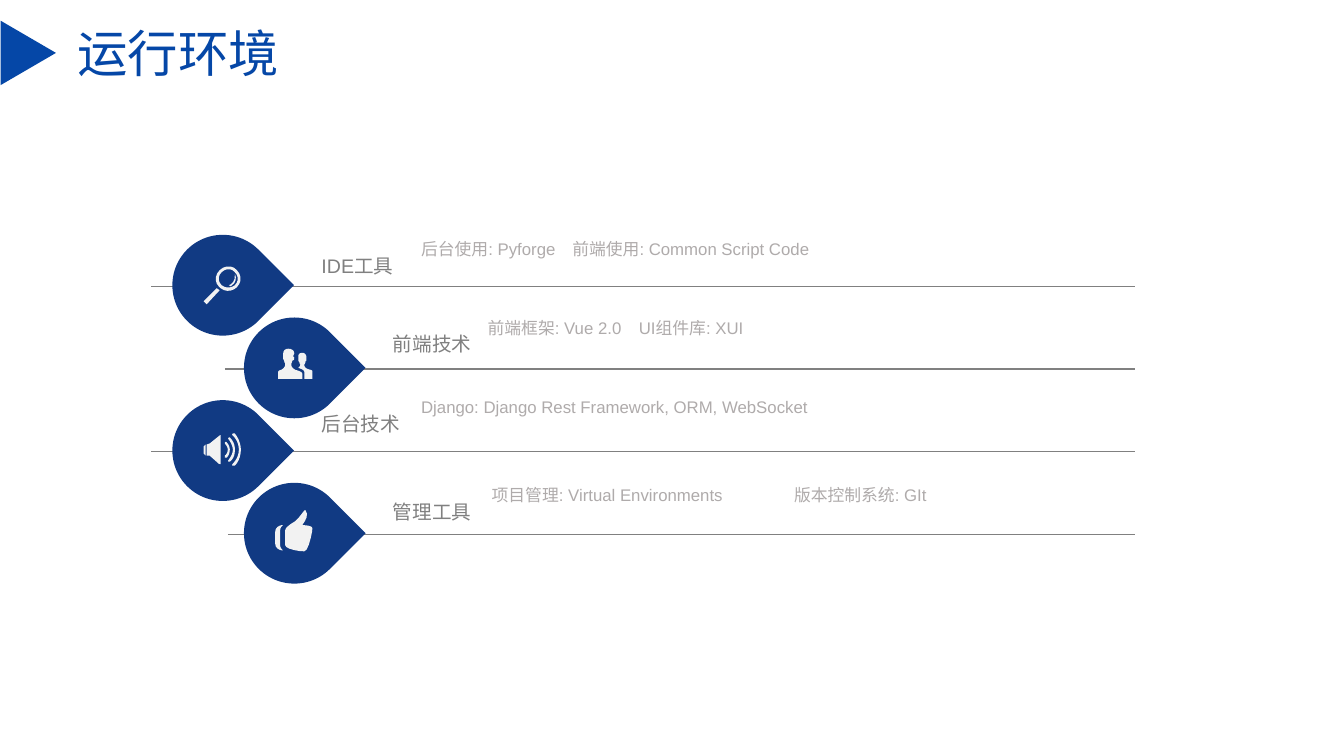
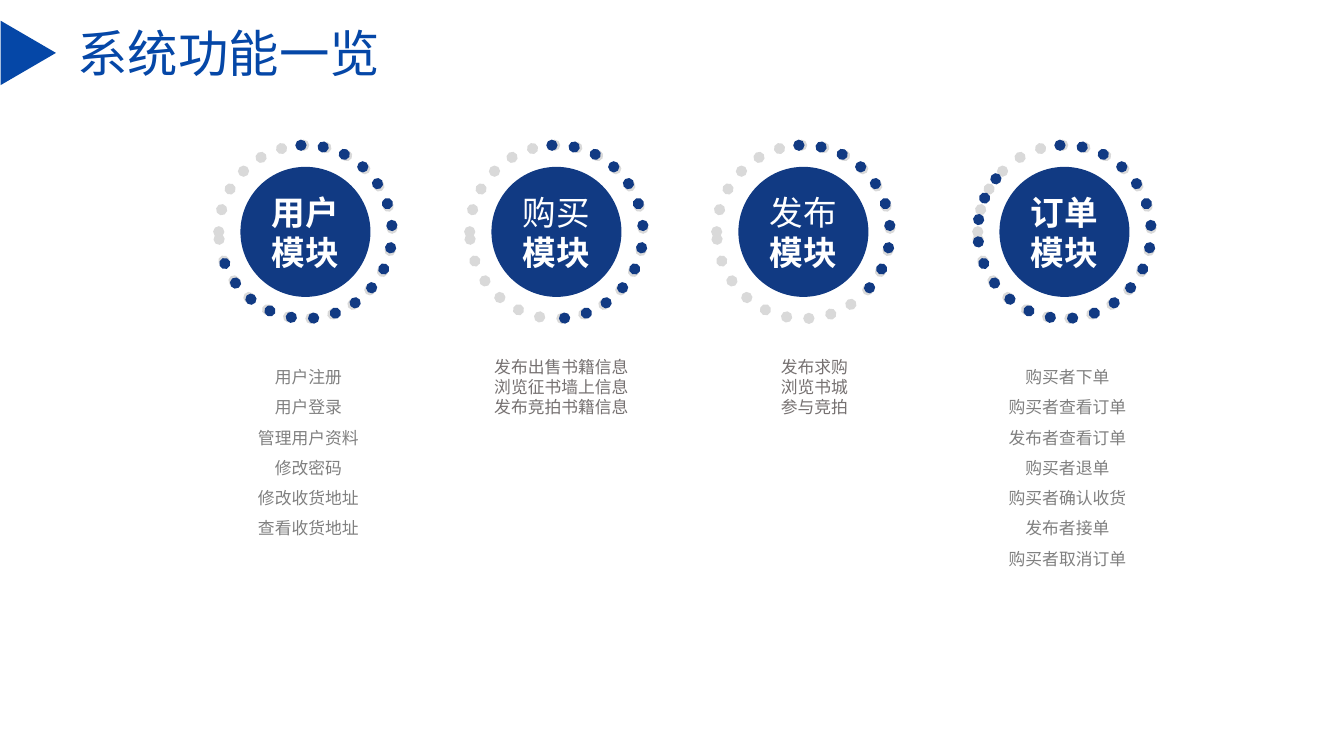
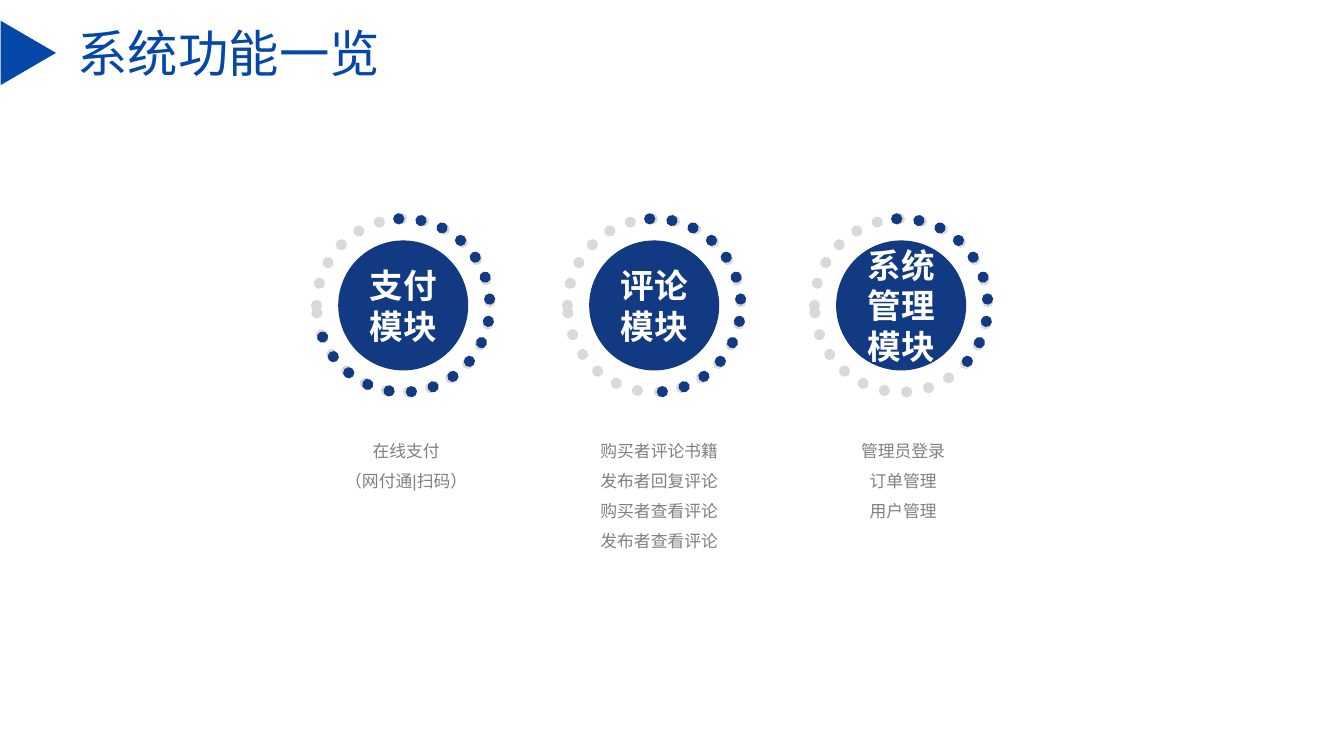
from pptx import Presentation, util as u
from pptx.dml.color import RGBColor
from pptx.enum import dml, shapes, text as t
from pptx.oxml.xmlchemy import OxmlElement

HUE = dict(title="0547A7", navy="113A83", grey="808080", dusk="767171",
           pale="AFABAB", dots="D9D9D9", icon="F2F2F2", white="FFFFFF")
KIND = shapes.MSO_SHAPE

deck = Presentation()
deck.slide_width, deck.slide_height = u.Emu(12192000), u.Inches(7.5)
cell = deck.slide_height / 75


def write(shape, lines, size=12, hue="grey", font="Arial", bolds=(False,),
          align=t.PP_ALIGN.LEFT, gap=None, lead=0, anchor=t.MSO_ANCHOR.TOP):
    frame = shape.text_frame
    frame.word_wrap = True
    frame.vertical_anchor = anchor
    for i, line in enumerate(lines):
        para = frame.add_paragraph() if i else frame.paragraphs[0]
        para.alignment = align
        para.line_spacing = gap
        para.space_before = u.Pt(lead * size)
        for part, bold in zip(line, bolds):
            run = para.add_run()
            run.text = part
            run.font.name, run.font.size, run.font.bold = font, u.Pt(size), bold
            run.font.color.rgb = RGBColor.from_string(HUE[hue])


def draw(page, kind, x, y, w, h, fill=None, dots=None):
    box = [round(v * cell) for v in (x, y, w, h)]
    if kind is None:
        return page.shapes.add_textbox(*box)
    shape = page.shapes.add_shape(kind, *box)
    shape.shadow.inherit = False
    if fill:
        shape.fill.solid()
        shape.fill.fore_color.rgb = RGBColor.from_string(HUE[fill])
    else:
        shape.fill.background()
    if dots:
        shape.line.color.rgb = RGBColor.from_string(HUE[dots])
        shape.line.width = u.Pt(8)
        shape.line.dash_style = dml.MSO_LINE.ROUND_DOT
        shape.line._get_or_add_ln().set("cap", "rnd")
    else:
        shape.line.fill.background()
    return shape


pages = []
for title in ("运行环境", "系统功能一览", "系统功能一览"):
    page = deck.slides.add_slide(deck.slide_layouts[6])
    mark = draw(page, KIND.ISOSCELES_TRIANGLE, -0.4, 2.5, 6.4, 5.5, fill="title")
    mark.rotation = 90
    head = draw(page, None, 6.7, 1.7, 55.5, 7.1)
    write(head, [(title,)], size=36, hue="title", font="Arial Narrow")
    pages.append(page)

LENS = ("M 64 35 C 60 30 52 30 47 35 C 42 40 42 47 46 51 L 48 53 C 53 57 60 56 64 52 "
        "C 69 47 69 40 64 35 M 62 50 C 58 53 53 53 49 50 C 45 46 45 41 49 37 "
        "C 53 33 59 33 62 37 C 66 41 66 46 62 50",
        "M 31 66 L 34 69 L 47 55 L 44 53",
        "M 62 39 C 63 48 56 50 56 50 L 58 51 C 66 46 62 39 62 39")
TEAM = ("M 68 61 L 68 53 C 67 52 66 52 63 51 C 61 50 60 49 60 47 C 60 46 61 46 61 44 "
        "C 61 43 62 44 62 42 L 62 39 C 62 38 61 35 58 35 C 54 35 54 38 54 39 L 54 42 "
        "C 54 44 54 43 55 44 C 55 46 56 46 56 47 C 56 48 55 49 54 50 "
        "C 60 52 60 53 60 55 L 60 61",
        "M 51 52 C 48 50 47 49 47 46 C 47 45 48 45 48 43 C 49 42 50 43 50 40 L 49 39 "
        "C 49 39 49 37 50 36 C 50 34 49 31 44 31 C 40 31 39 34 39 36 L 39 40 "
        "C 39 43 40 42 40 43 C 40 45 41 45 41 46 C 41 49 40 50 37 52 "
        "C 36 52 34 53 34 54 L 34 61 L 58 61 L 58 56 C 58 54 55 53 51 52")
SOUND = ("M 47 35 L 37 43 L 34 44 L 34 55 L 37 55 L 46 63 C 46 63 48 64 48 63 "
         "L 48 35 C 48 34 47 35 47 35",
         "M 31 46 L 31 53 L 33 55 L 33 44",
         "M 54 42 C 53 41 53 41 52 42 L 52 43 C 54 45 55 47 55 49 C 55 51 54 54 52 55 "
         "L 52 57 L 54 57 C 56 55 57 52 57 49 C 57 47 56 44 54 42",
         "M 57 37 L 56 37 C 55 38 55 39 56 39 C 58 42 60 46 60 49 C 60 53 58 56 56 59 "
         "C 55 60 55 61 56 61 L 57 61 C 61 58 62 54 62 49 C 62 45 61 41 57 37",
         "M 62 33 L 60 33 C 59 34 59 35 60 35 C 64 39 66 44 66 49 C 66 54 64 59 60 63 "
         "C 59 64 59 65 60 65 L 62 65 C 66 61 68 55 68 49 C 68 44 66 38 62 33")
THUMB = ("M 58 42 C 58 41 66 33 61 27 C 60 26 56 34 51 38 C 48 40 41 44 41 47 L 41 62 "
         "C 41 65 52 68 60 68 C 64 68 68 49 68 45 C 68 42 58 42 58 42",
         "M 38 42 C 37 42 31 43 31 49 L 31 60 C 31 66 37 67 38 67 C 40 67 36 66 36 62 "
         "L 36 47 C 36 43 40 42 38 42")

TOOLS = [
    (LENS, 15, 17.1, 25.1, 40.8, "IDE工具", "后台使用: Pyforge\t前端使用: Common Script Code"),
    (TEAM, 22.3, 24.2, 32.9, 47.4, "前端技术", "前端框架: Vue 2.0\tUI组件库: XUI"),
    (SOUND, 15, 17.1, 40.8, 40.8, "后台技术", "Django: Django Rest Framework, ORM, WebSocket"),
    (THUMB, 22.6, 24.2, 49.5, 47.8, "管理工具", "项目管理: Virtual Environments\t\t版本控制系统: GIt"),
]
page = pages[0]
for row, (icon, start, left, top, side, label, note) in enumerate(TOOLS):
    mid = 28.4 + 8.2 * row
    ends = [round(v * cell) for v in (start, mid, 112.6, mid)]
    rule = page.shapes.add_connector(shapes.MSO_CONNECTOR.STRAIGHT, *ends)
    rule.line.color.rgb = RGBColor.from_string(HUE["grey"])
    rule.line.width = u.Pt(1)
    rule._element.spPr.append(OxmlElement("a:effectLst"))
    drop = draw(page, KIND.TEAR, left, mid - 5.1, 10, 10, fill="navy")
    drop.rotation = 45
    for outline in icon:
        pen = None
        for step in outline.replace(" L", "|L").replace(" C", "|C").replace(" M", "|M").split("|"):
            code, *nums = step.split()
            nums = [int(n) / 10 for n in nums]
            pts = [((left + a) * cell, (mid - 5.1 + b) * cell)
                   for a, b in zip(nums[::2], nums[1::2])]
            if code == "M":
                if pen:
                    pen.move_to(*pts[0])
                else:
                    pen = page.shapes.build_freeform(*pts[0])
            elif code == "L":
                pen.add_line_segments(pts, close=False)
            else:
                quad = [last, *pts]
                pts = [tuple(sum(c * p[k] for c, p in zip(
                    ((1 - s) ** 3, 3 * s * (1 - s) ** 2, 3 * s * s * (1 - s), s ** 3), quad))
                    for k in (0, 1)) for s in (0.2, 0.4, 0.6, 0.8, 1)]
                pen.add_line_segments(pts, close=False)
            last = pts[-1]
        glyph = pen.convert_to_shape()
        glyph.shadow.inherit = False
        glyph.fill.solid()
        glyph.fill.fore_color.rgb = RGBColor.from_string(HUE["icon"])
        glyph.line.fill.background()
    write(draw(page, None, side, top - 1.5, 78, 6.4), [(note,)], hue="pale", gap=0.8, lead=0.2)
    write(draw(page, None, left + 13.8, top, 9.9, 2.2), [(label,)], size=14, gap=0.8, lead=0.2)

LOOSE, TIGHT = (1.5, "grey"), (1, "dusk")
BOTH, LAST = (True, True), (False, True)
RINGS = [
    (pages[1], 14.4, [
        (21.7, 18.6, 163.9, "用户", BOTH, LOOSE, "用户注册 用户登录 管理用户资料 修改密码 修改收货地址 查看收货地址"),
        (46.6, 43.7, 96.5, "购买", LAST, TIGHT, "发布出售书籍信息 浏览征书墙上信息 发布竞拍书籍信息"),
        (71.1, 68.8, 52.2, "发布", LAST, TIGHT, "发布求购 浏览书城 参与竞拍"),
        (97, 93.9, 221.4, "订单", BOTH, LOOSE,
         "购买者下单 购买者查看订单 发布者查看订单 购买者退单 购买者确认收货 发布者接单 购买者取消订单"),
    ]),
    (pages[2], 21.7, [
        (31.4, 28.3, 163.9, "支付", BOTH, LOOSE, "在线支付 （网付通|扫码）"),
        (56.3, 53.4, 96.5, "评论", BOTH, LOOSE, "购买者评论书籍 发布者回复评论 购买者查看评论 发布者查看评论"),
        (80.8, 77.6, 52.2, "系统管理", BOTH, LOOSE, "管理员登录 订单管理 用户管理"),
    ]),
]
for page, top, rings in RINGS:
    for left, side, end, name, bolds, (gap, hue), items in rings:
        draw(page, KIND.OVAL, left, top, 17.2, 17.2, dots="dots")
        disc = draw(page, KIND.OVAL, left + 2.15, top + 2.15, 12.9, 12.9, fill="navy")
        write(disc, [(name, "模块")], size=24, hue="white", bolds=bolds,
              align=t.PP_ALIGN.CENTER, anchor=t.MSO_ANCHOR.MIDDLE)
        arc = draw(page, KIND.ARC, left, top, 17.2, 17.2, dots="navy")
        arc.adjustments[0], arc.adjustments[1] = 267 * 0.6, end * 0.6
        lines = [(item,) for item in items.split()]
        body = draw(page, None, side, top + 20.5, 24, 1 + 2 * gap * len(lines))
        write(body, lines, hue=hue, align=t.PP_ALIGN.CENTER, gap=gap)

deck.save("out.pptx")
